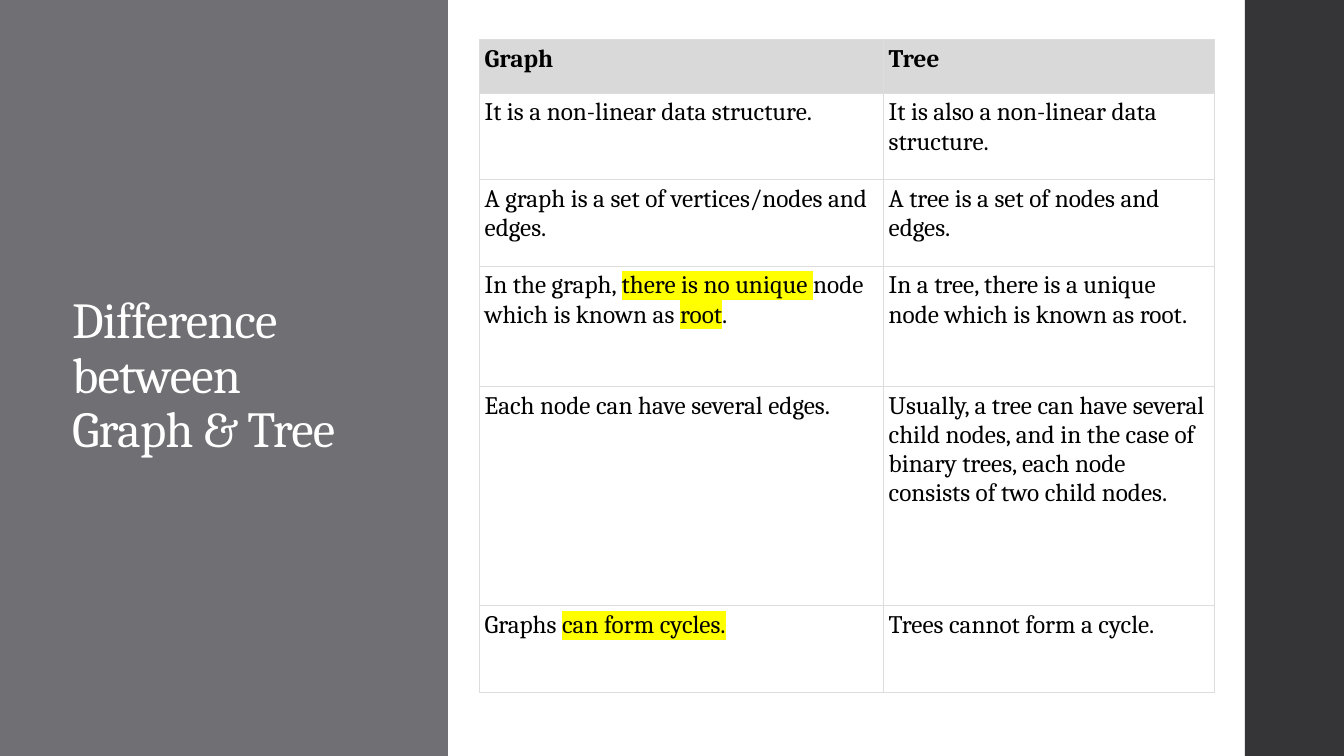
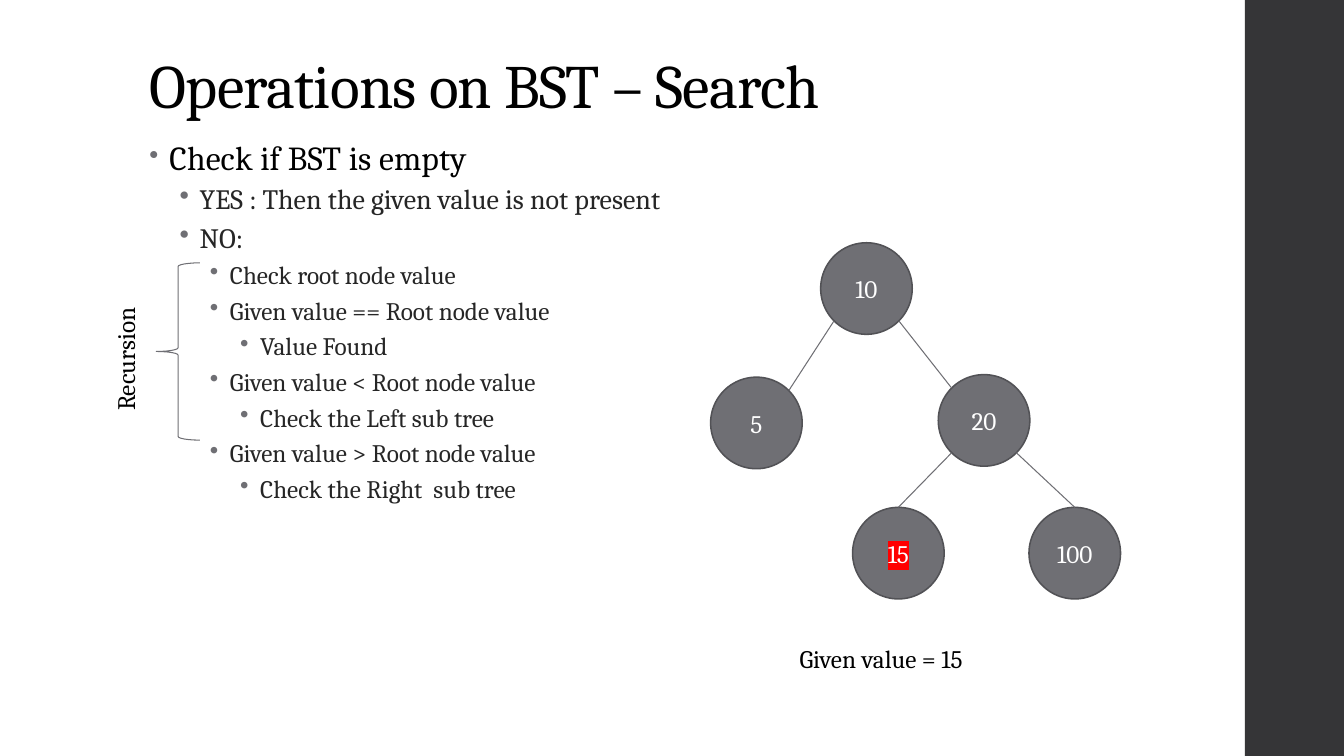
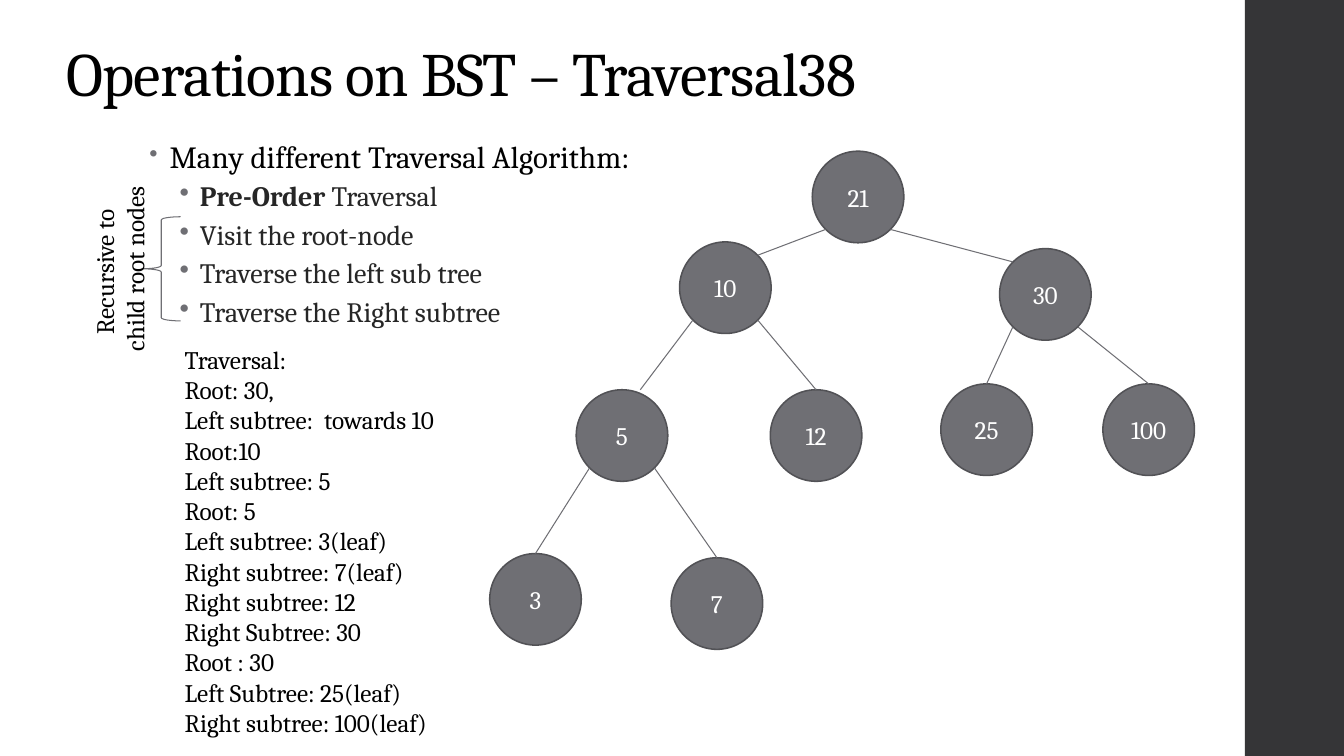
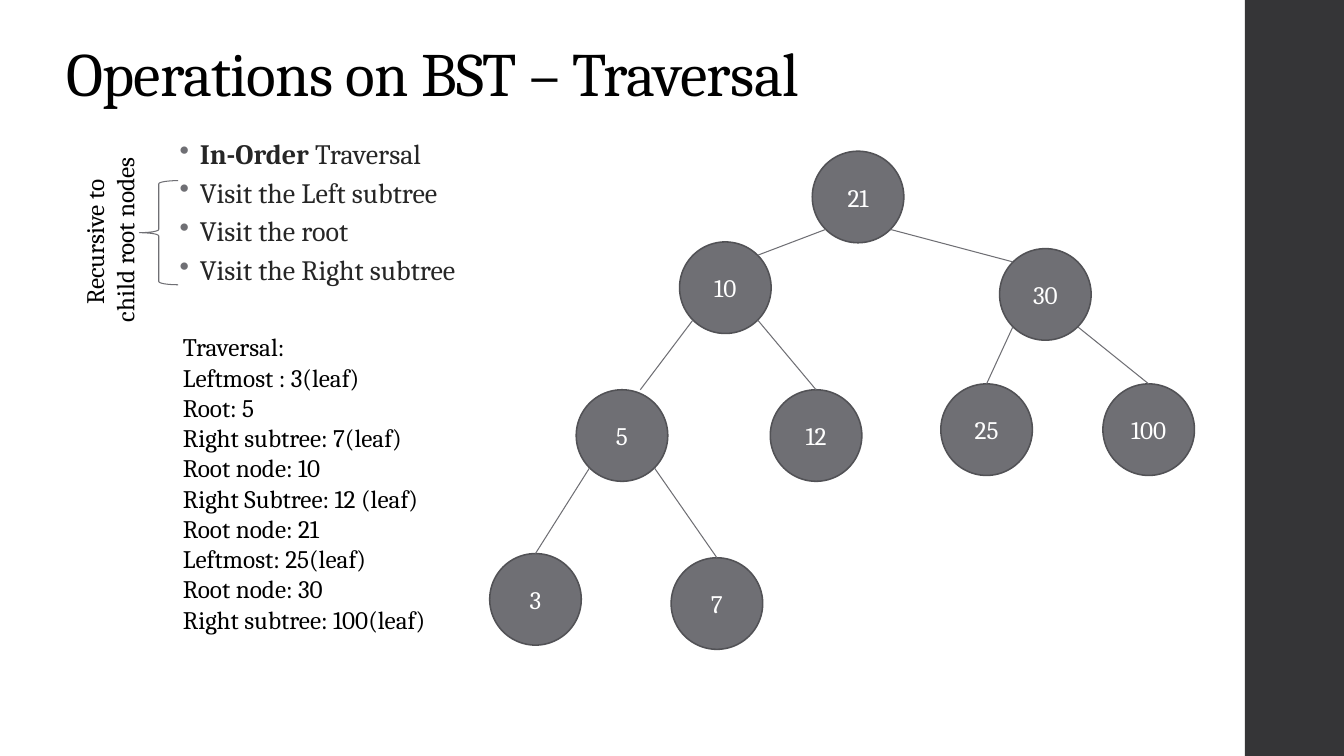
from lxml.etree import SubElement
from pptx import Presentation
from pptx.dml.color import RGBColor
from pptx.enum.shapes import MSO_CONNECTOR, MSO_SHAPE
from pptx.enum.text import MSO_ANCHOR, MSO_AUTO_SIZE, PP_ALIGN
from pptx.oxml.ns import qn
from pptx.util import Inches, Pt

COLS, ROWS = 160, 90
UNIT = Inches(1) // 12
FONT = "Cambria"
BLACK = RGBColor(0, 0, 0)
WHITE = RGBColor(255, 255, 255)
INK = RGBColor(0x26, 0x26, 0x26)
GRAY = RGBColor(0x6F, 0x6F, 0x74)
EDGE = RGBColor(0x52, 0x52, 0x56)
DARK = RGBColor(0x35, 0x35, 0x37)
HEAD = RGBColor(0xD9, 0xD9, 0xD9)
RULE = RGBColor(0xDD, 0xDD, 0xDD)
YELLOW = RGBColor(255, 255, 0)
RED = RGBColor(255, 0, 0)

BAND = 148.2
NODE = 10.9
LABEL = 18

# Points on a node, as shares of its radius from the centre
TOP, NEAR = (0, -1), (0.4, -1)
NW, NE = (-0.71, -0.71), (0.71, -0.71)
SW, SE = (-0.71, 0.71), (0.71, 0.71)

SEARCH = {"10": (97.7, 28.9), "5": (84.6, 44.9), "20": (111.7, 44.6),
          "15": (101.5, 60.4), "100": (122.5, 60.4)}
SEARCH_EDGES = [("10", SW, "5", NE), ("10", SE, "20", NW),
                ("20", SW, "15", TOP), ("20", SE, "100", TOP)]

WALK = {"21": (96.7, 18), "10": (80.9, 28.8), "30": (119, 29.6),
        "5": (68.6, 46.4), "12": (91.7, 46.4), "3": (58.3, 65.9),
        "7": (79.9, 66.4), "25": (112, 45.7), "100": (131.3, 45.7)}
WALK_EDGES = [("21", SW, "10", NE), ("21", SE, "30", NW),
              ("10", SW, "5", NEAR), ("10", SE, "12", TOP),
              ("5", SW, "3", TOP), ("5", SE, "7", TOP),
              ("30", SW, "25", TOP), ("30", SE, "100", TOP)]

# In a tuple of text parts, every second part is stressed
COMPARE = [
    ("Graph", "Tree"),
    ("It is a non-linear data structure.",
     "It is also a non-linear data structure."),
    ("A graph is a set of vertices/nodes and edges.",
     "A tree is a set of nodes and edges."),
    (("In the graph, ", "there is no unique ", "node which is known as ",
      "root", "."),
     "In a tree, there is a unique node which is known as root."),
    ("Each node can have several edges.",
     "Usually, a tree can have several child nodes, and in the case of "
     "binary trees, each node consists of two child nodes."),
    (("Graphs ", "can form cycles."), "Trees cannot form a cycle."),
]
STEPS = [
    (0, "Check if BST is empty"),
    (1, "YES : Then the given value is not present"),
    (1, "NO:"),
    (2, "Check root node value"),
    (2, "Given value == Root node value"),
    (3, "Value Found"),
    (2, "Given value < Root node value"),
    (3, "Check the Left sub tree"),
    (2, "Given value > Root node value"),
    (3, "Check the Right  sub tree"),
]
PRE = [
    (0, "Many different Traversal Algorithm:"),
    (1, ("", "Pre-Order", " Traversal")),
    (1, "Visit the root-node"),
    (1, "Traverse the left sub tree"),
    (1, "Traverse the Right subtree"),
]
PRE_TRACE = ["Traversal:", "Root: 30,", "Left subtree:  towards 10", "Root:10",
             "Left subtree: 5", "Root: 5", "Left subtree: 3(leaf)",
             "Right subtree: 7(leaf)", "Right subtree: 12",
             "Right Subtree: 30", "Root : 30", "Left Subtree: 25(leaf)",
             "Right subtree: 100(leaf)"]
ORDER = [
    (1, ("", "In-Order", " Traversal")),
    (1, "Visit the Left subtree"),
    (1, "Visit the root"),
    (1, "Visit the Right subtree"),
]
ORDER_TRACE = ["Traversal:", "Leftmost : 3(leaf)", "Root: 5",
               "Right subtree: 7(leaf)", "Root node: 10",
               "Right Subtree: 12 (leaf)", "Root node: 21",
               "Leftmost: 25(leaf)", "Root node: 30",
               "Right subtree: 100(leaf)"]
LOOP = ["Recursive to", " child root nodes"]


def grid(*nums):
    return [round(n * UNIT) for n in nums]


def tint(parent, tag, color):
    """Add a child element that holds one colour."""
    node = SubElement(parent, qn(tag))
    SubElement(node, qn("a:srgbClr")).set("val", str(color))
    return node


def write(par, parts, size, color=BLACK, bold=False, mark=None, track=0):
    """Add runs; stressed parts are highlighted with mark, or else bold."""
    parts = (parts,) if isinstance(parts, str) else parts
    for i, text in enumerate(parts):
        if not text:
            continue
        run = par.add_run()
        run.text = text
        font = run.font
        font.size = Pt(size)
        font.color.rgb = color
        font.name = FONT
        stress = i % 2 == 1
        font.bold = bold or (stress and mark is None)
        props = run._r.get_or_add_rPr()
        if track:
            props.set("spc", str(track))
        if stress and mark is not None:
            high = tint(props, "a:highlight", mark)
            props.find(qn("a:latin")).addprevious(high)


class Deck:
    def __init__(self):
        self.prs = Presentation()
        self.prs.slide_width, self.prs.slide_height = grid(COLS, ROWS)

    def page(self, title, at, size=44, color=BLACK, anchor=MSO_ANCHOR.BOTTOM):
        self.slide = self.prs.slides.add_slide(self.prs.slide_layouts[5])
        self.shapes = self.slide.shapes
        self.panel(BAND, COLS - BAND, DARK)
        box = self.shapes.title
        box.left, box.top, box.width, box.height = grid(*at)
        frame = box.text_frame
        frame.word_wrap = True
        frame.auto_size = MSO_AUTO_SIZE.NONE
        frame.vertical_anchor = anchor
        par = frame.paragraphs[0]
        par.alignment = PP_ALIGN.LEFT
        par.line_spacing = 0.9
        write(par, title, size, color, track=-50)

    def shape(self, kind, at, fill=None, line=None, width=0.75):
        item = self.shapes.add_shape(kind, *grid(*at))
        item.shadow.inherit = False
        if fill is None:
            item.fill.background()
        else:
            item.fill.solid()
            item.fill.fore_color.rgb = fill
        if line is None:
            item.line.fill.background()
        else:
            item.line.color.rgb = line
            item.line.width = Pt(width)
        return item

    def panel(self, left, width, fill):
        """Draw a full-height bar behind everything else."""
        bar = self.shape(MSO_SHAPE.RECTANGLE, (left, 0, width, ROWS), fill)
        self.shapes._spTree.insert(2, bar._element)

    def text(self, lines, at, wrap=False, turn=0, align=PP_ALIGN.LEFT):
        box = self.shapes.add_textbox(*grid(*at))
        box.rotation = turn
        frame = box.text_frame
        frame.word_wrap = wrap
        frame.auto_size = MSO_AUTO_SIZE.SHAPE_TO_FIT_TEXT
        for i, line in enumerate(lines):
            par = frame.add_paragraph() if i else frame.paragraphs[0]
            par.alignment = align
            write(par, line, LABEL)

    def bullets(self, items, width, lead=24):
        frame = self.shapes.add_textbox(*grid(16.6, 16.1, width, 69.1)).text_frame
        frame.word_wrap = True
        for i, (level, parts) in enumerate(items):
            par = frame.add_paragraph() if i else frame.paragraphs[0]
            par.level = level
            par.line_spacing = 0.9 if level else 0.95
            par.space_before = Pt(3 if i else 0)
            par.space_after = Pt(3 if level else 2)
            props = par._p.get_or_add_pPr()
            props.set("marL", str(Inches(0.2 + 0.3 * level)))
            props.set("indent", str(-Inches(0.2)))
            tint(props, "a:buClr", GRAY)
            if not level:
                SubElement(props, qn("a:buSzPct")).set("val", "80000")
            SubElement(props, qn("a:buChar")).set("char", "•")
            size = (lead, 20, 18, 18)[level]
            write(par, parts, size, INK if level else BLACK,
                  track=0 if level else 10)

    def brace(self, at):
        self.shape(MSO_SHAPE.LEFT_BRACE, at, line=GRAY)

    def node(self, name, spot, mark):
        disc = self.shape(MSO_SHAPE.OVAL, (*spot, NODE, NODE), GRAY, EDGE, 1.1)
        frame = disc.text_frame
        frame.vertical_anchor = MSO_ANCHOR.MIDDLE
        par = frame.paragraphs[0]
        par.alignment = PP_ALIGN.CENTER
        write(par, ("", name) if mark else name, LABEL, WHITE, mark=RED)
        return disc

    def tree(self, spots, edges, found=None):
        discs = {n: self.node(n, s, n == found) for n, s in spots.items()}

        def port(name, side):
            return [s + NODE / 2 * (1 + d) for s, d in zip(spots[name], side)]

        for top, out, low, side in edges:
            ends = grid(*port(top, out), *port(low, side))
            line = self.shapes.add_connector(MSO_CONNECTOR.STRAIGHT, *ends)
            line.line.color.rgb = GRAY
            line.line.width = Pt(0.75)
            SubElement(line._element.spPr, qn("a:effectLst"))
            if side == TOP:
                line.end_connect(discs[low], 0)

    def table(self, data, spot, cols, rows):
        size = (sum(cols), sum(rows))
        frame = self.shapes.add_table(len(rows), len(cols), *grid(*spot, *size))
        table = frame.table
        table.horz_banding = False
        for col, width in zip(table.columns, grid(*cols)):
            col.width = width
        for i, (row, height) in enumerate(zip(table.rows, grid(*rows))):
            row.height = height
            for cell, parts in zip(row.cells, data[i]):
                self.cell(cell, parts, i == 0)

    def cell(self, cell, parts, head):
        cell.margin_left = cell.margin_right = Inches(0.05)
        cell.margin_top = cell.margin_bottom = Inches(0.05)
        props = cell._tc.get_or_add_tcPr()
        for side in "LRTB":
            edge = SubElement(props, qn("a:ln" + side))
            edge.set("w", str(Pt(0.5)))
            tint(edge, "a:solidFill", RULE)
        cell.fill.solid()
        cell.fill.fore_color.rgb = HEAD if head else WHITE
        write(cell.text_frame.paragraphs[0], parts, LABEL, bold=head,
              mark=YELLOW)

    def walk(self, title, items, brace, label, trace, spot):
        """Build a slide on one way to traverse the larger tree."""
        self.page(title, (6.7, 3.4, 127.2, 10.3))
        self.bullets(items, 77.2, lead=22)
        self.brace((*brace, 4.6, 12.4))
        self.text(LOOP, (*label, 25.3, 8.5), turn=270, align=PP_ALIGN.CENTER)
        self.text(trace, (*spot, 55.9, 1.2 + 3.64 * len(trace)), wrap=True)
        self.tree(WALK, WALK_EDGES)


def main():
    deck = Deck()

    deck.page("Difference between Graph & Tree", (7.4, 10.9, 35.6, 68),
              36, WHITE, MSO_ANCHOR.MIDDLE)
    deck.panel(0, COLS / 3, GRAY)
    deck.table(COMPARE, (57.1, 4.7), (48.1, 39.4),
               (6.4, 10.3, 10.3, 14.3, 26.1, 10.3))

    deck.page("Operations on BST – Search", (16.6, 4.8, 127.2, 10.3))
    deck.bullets(STEPS, 112.8)
    deck.brace((18.6, 31.3, 5.2, 21.1))
    deck.text(["Recursion"], (6.7, 39.5, 16.4, 4.8), turn=270)
    deck.tree(SEARCH, SEARCH_EDGES, found="15")
    deck.text(["Given value = 15"], (94, 76, 26, 4.8))

    deck.walk("Operations on BST – Traversal38", PRE, (16.9, 25.8),
              (1.6, 28.1), PRE_TRACE, (20.8, 40.4))
    deck.walk("Operations on BST – Traversal", ORDER, (16.6, 21.5),
              (0.4, 24.6), ORDER_TRACE, (20.6, 38.9))

    deck.prs.save("out.pptx")


if __name__ == "__main__":
    main()
